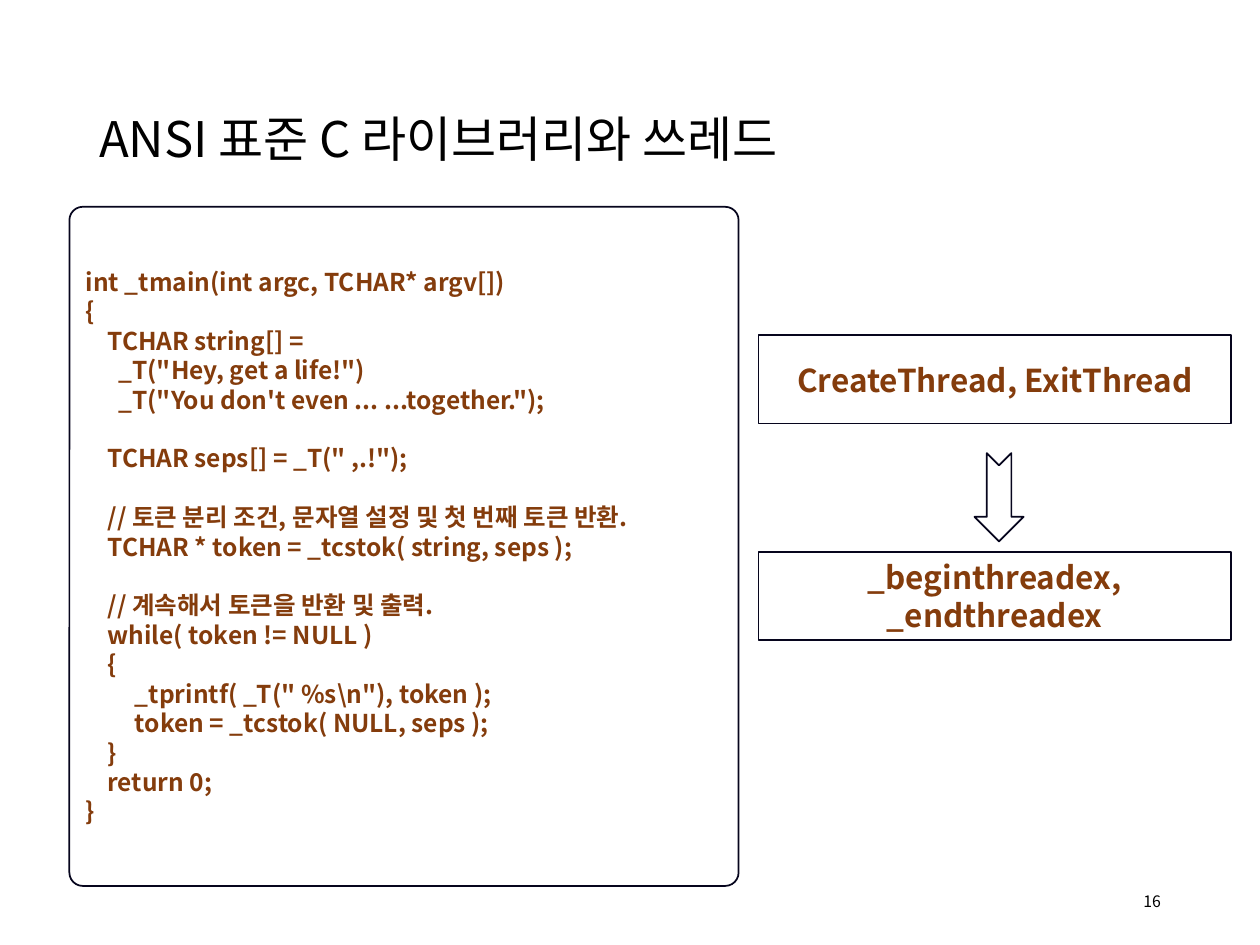
"""Build the slide on the ANSI C library and threads."""
from dataclasses import dataclass

from lxml import etree
from pptx import Presentation
from pptx import util as u
from pptx.dml.color import RGBColor
from pptx.enum import shapes, text
from pptx.oxml.ns import qn


@dataclass(frozen=True)
class Theme:
    font: str = "Noto Sans CJK KR"
    ink: str = "000000"
    code: str = "843C0C"
    outline: str = "06051D"
    title_size: int = 28
    call_size: int = 18
    code_size: int = 14
    number_size: int = 9
    blank_line: float = 16.8
    space_width: float = 0.11


THEME = Theme()
SHAPE = shapes.MSO_SHAPE
ALIGN = text.PP_ALIGN

TITLE = "ANSI 표준 C 라이브러리와 쓰레드"
PAGE_NUMBER = "16"
CALLS = ["CreateThread, ExitThread", "_beginthreadex, _endthreadex"]
LISTING = [
    [
        (0, "int _tmain(int argc, TCHAR* argv[])"),
        (0, "{"),
        (4, "TCHAR string[] ="),
        (6, '_T("Hey, get a life!")'),
        (6, '_T("You don\'t even ... ...together.");'),
    ],
    [(4, 'TCHAR seps[] = _T(" ,.!");')],
    [
        (4, "// 토큰 분리 조건, 문자열 설정 및 첫 번째 토큰 반환."),
        (4, "TCHAR * token = _tcstok( string, seps );"),
    ],
    [
        (4, "// 계속해서 토큰을 반환 및 출력."),
        (4, "while( token != NULL )"),
        (4, "{"),
        (9, '_tprintf( _T(" %s\\n"), token );'),
        (9, "token = _tcstok( NULL, seps );"),
        (4, "}"),
        (4, "return 0;"),
        (0, "}"),
    ],
]

TITLE_BOX = (1.75, 1.02, 21.92, 3.68)
NUMBER_BOX = (17.93, 17.65, 5.72, 1.02)
LISTING_BOX = (1.4, 4.17, 13.49, 13.69)
CALL_LEFT, CALL_TOP, CALL_WIDTH, CALL_HEIGHT, CALL_PITCH = 15.29, 6.76, 9.53, 1.78, 4.37
ARROW_BOX = (19.25, 9.53, 1.78, 0.99)


def set_frame(holder):
    frame = holder.text_frame
    frame.word_wrap = True
    frame.vertical_anchor = text.MSO_ANCHOR.MIDDLE
    return frame


def write(paragraph, words, size, color, bold=False, align=ALIGN.LEFT):
    paragraph.alignment = align
    run = paragraph.add_run()
    run.text = words
    font = run.font
    font.name, font.size, font.bold = THEME.font, u.Pt(size), bold
    font.color.rgb = RGBColor.from_string(color)
    east_asian = etree.SubElement(run._r.get_or_add_rPr(), qn("a:ea"))
    east_asian.set("typeface", THEME.font)


def add_label(slide, box, words, size, align=ALIGN.LEFT):
    label = slide.shapes.add_textbox(*map(u.Cm, box))
    paragraph = set_frame(label).paragraphs[0]
    write(paragraph, words, size, THEME.ink, align=align)
    return paragraph


def add_outline(slide, kind, box):
    outline = slide.shapes.add_shape(kind, *map(u.Cm, box))
    outline.shadow.inherit = False
    outline.fill.background()
    outline.line.color.rgb = RGBColor.from_string(THEME.outline)
    outline.line.width = u.Pt(1)
    return outline


def add_listing(slide):
    panel = add_outline(slide, SHAPE.ROUNDED_RECTANGLE, LISTING_BOX)
    panel.adjustments[0] = 0.02
    frame = set_frame(panel)
    paragraph = frame.paragraphs[0]
    for block_index, block in enumerate(LISTING):
        for line_index, (spaces, words) in enumerate(block):
            if block_index or line_index:
                paragraph = frame.add_paragraph()
            if block_index and not line_index:
                paragraph.space_before = u.Pt(THEME.blank_line)
            write(paragraph, words, THEME.code_size, THEME.code, bold=True)
            indent = u.Cm(spaces * THEME.space_width)
            paragraph._p.get_or_add_pPr().set("marL", str(indent))


def main():
    deck = Presentation()
    deck.slide_width, deck.slide_height = u.Cm(25.4), u.Cm(19.05)
    slide = deck.slides.add_slide(deck.slide_layouts[6])

    add_label(slide, TITLE_BOX, TITLE, THEME.title_size).line_spacing = 0.9
    add_label(slide, NUMBER_BOX, PAGE_NUMBER, THEME.number_size, ALIGN.RIGHT)
    for index, words in enumerate(CALLS):
        top = CALL_TOP + index * CALL_PITCH
        call = add_outline(slide, SHAPE.RECTANGLE, (CALL_LEFT, top, CALL_WIDTH, CALL_HEIGHT))
        write(set_frame(call).paragraphs[0], words, THEME.call_size, THEME.code, True, ALIGN.CENTER)
    add_outline(slide, SHAPE.NOTCHED_RIGHT_ARROW, ARROW_BOX).rotation = 90
    add_listing(slide)
    deck.save("out.pptx")


if __name__ == "__main__":
    main()
